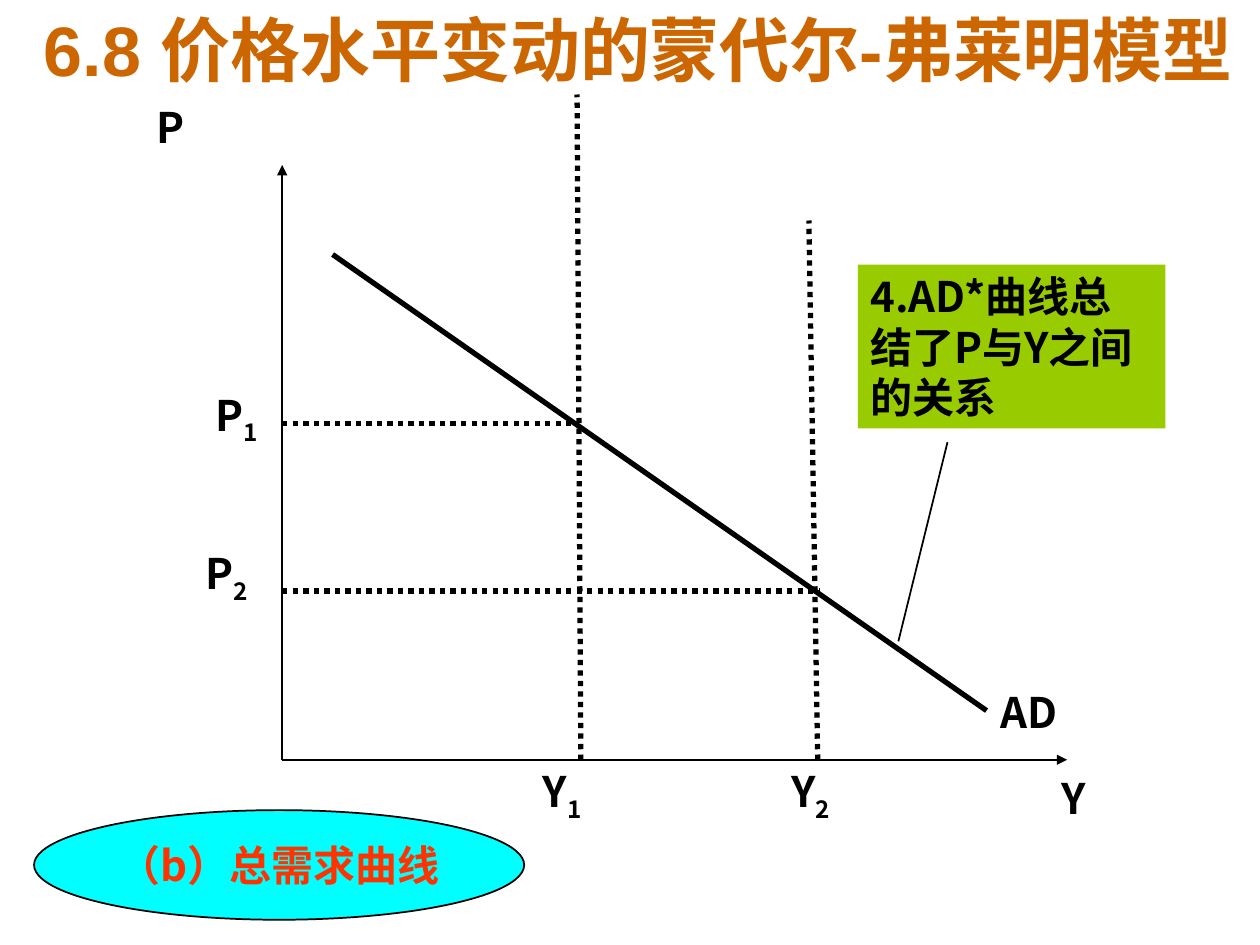
from lxml import etree
from pptx import Presentation
from pptx import util as u
from pptx.dml.color import RGBColor
from pptx.enum import dml, shapes, text
from pptx.oxml.ns import qn

THEME = {
    "ink": "000000", "title": "CC6600", "note": "99CC00",
    "badge": "00FFFF", "badge_text": "FF3300",
    "body_font": "Noto Sans CJK SC", "title_font": "Arial",
    "body_size": 24, "title_size": 40, "thin": 1, "thick": 3,
}

prs = Presentation()
prs.slide_width, prs.slide_height = u.Inches(10), u.Inches(7.5)
s = prs.slides.add_slide(prs.slide_layouts[6])
CELL = prs.slide_width / 100  # grid of 100 columns by 75 rows


def write(sp, words, sub="", color="ink", font="body_font", size="body_size"):
    """Fill a shape with bold text and an optional subscript."""
    tf = sp.text_frame
    tf.word_wrap = True
    tf.vertical_anchor = text.MSO_ANCHOR.TOP
    p = tf.paragraphs[0]
    p.text = words
    p.alignment = text.PP_ALIGN.LEFT
    if sub:
        p.add_run().text = sub
    for i, r in enumerate(p.runs):
        r.font.name = THEME[font]
        r.font.size = u.Pt(THEME[size])
        r.font.bold = True
        r.font.color.rgb = RGBColor.from_string(THEME[color])
        rPr = r._r.get_or_add_rPr()
        etree.SubElement(rPr, qn("a:ea")).set("typeface", THEME["body_font"])
        if i:
            rPr.set("baseline", "-25000")
    return p


def draw_line(start, end, width="thin", dotted=False, arrow=False):
    """Draw a straight line between two grid points."""
    ends = [round(n * CELL) for n in (*start, *end)]
    ln = s.shapes.add_connector(shapes.MSO_CONNECTOR.STRAIGHT, *ends)
    ln.line.color.rgb = RGBColor.from_string(THEME["ink"])
    ln.line.width = u.Pt(THEME[width])
    if dotted:
        ln.line.dash_style = dml.MSO_LINE.ROUND_DOT
    if arrow:
        etree.SubElement(ln.line._get_or_add_ln(), qn("a:tailEnd")).set("type", "triangle")
    etree.SubElement(ln._element.spPr, qn("a:effectLst"))


# Axes
origin = (22.4, 60.3)
draw_line(origin, (22.4, 13.1), arrow=True)
draw_line(origin, (84.7, 60.3), arrow=True)

# Dotted guides at both price and output levels
for start, end in [
    ((22.4, 33.6), (45.3, 33.6)), ((22.4, 46.9), (65, 46.9)),
    ((46.1, 60.3), (45.8, 7.5)), ((64.9, 60.3), (64.2, 17.5)),
]:
    draw_line(start, end, "thick", dotted=True)

# Demand curve and the leader to its note
draw_line((78.3, 56.4), (26.4, 20.2), "thick")
draw_line((71.3, 50.9), (75.2, 35.1))

# Axis, level and curve labels
for words, sub, x, y, w, h in [
    ("P", "", 11.4, 7.6, 24.7, 5), ("Y", "", 83.3, 60.8, 6.2, 5),
    ("AD", "", 78.4, 54, 8.7, 5),
    ("P", "1", 16.1, 30.4, 6.3, 5.6), ("P", "2", 15.3, 43, 6.3, 5.6),
    ("Y", "1", 42.1, 60.3, 6.3, 5.6), ("Y", "2", 61.8, 60.3, 6.3, 5.6),
]:
    box = s.shapes.add_textbox(*[round(n * CELL) for n in (x, y, w, h)])
    write(box, words, sub)

# Note on the demand curve
note = s.shapes.add_shape(shapes.MSO_SHAPE.RECTANGLE,
                          *[round(n * CELL) for n in (68.1, 21, 24.4, 13)])
note.shadow.inherit = False
note.fill.solid()
note.fill.fore_color.rgb = RGBColor.from_string(THEME["note"])
note.line.fill.background()
write(note, "4.AD*曲线总结了P与Y之间的关系")

# Panel caption
badge = s.shapes.add_shape(shapes.MSO_SHAPE.OVAL,
                           *[round(n * CELL) for n in (2.7, 64.3, 38.9, 8.7)])
badge.shadow.inherit = False
badge.fill.solid()
badge.fill.fore_color.rgb = RGBColor.from_string(THEME["badge"])
badge.line.color.rgb = RGBColor.from_string(THEME["ink"])
badge.line.width = u.Pt(THEME["thin"])
p = write(badge, "（b）总需求曲线", color="badge_text")
p.alignment = text.PP_ALIGN.CENTER
badge.text_frame.vertical_anchor = text.MSO_ANCHOR.MIDDLE
badge.text_frame.word_wrap = False

# Title
title = s.shapes.add_textbox(*[round(n * CELL) for n in (2.5, 0, 97.5, 14.4)])
write(title, "6.8 价格水平变动的蒙代尔-弗莱明模型",
      color="title", font="title_font", size="title_size")

prs.save("out.pptx")
